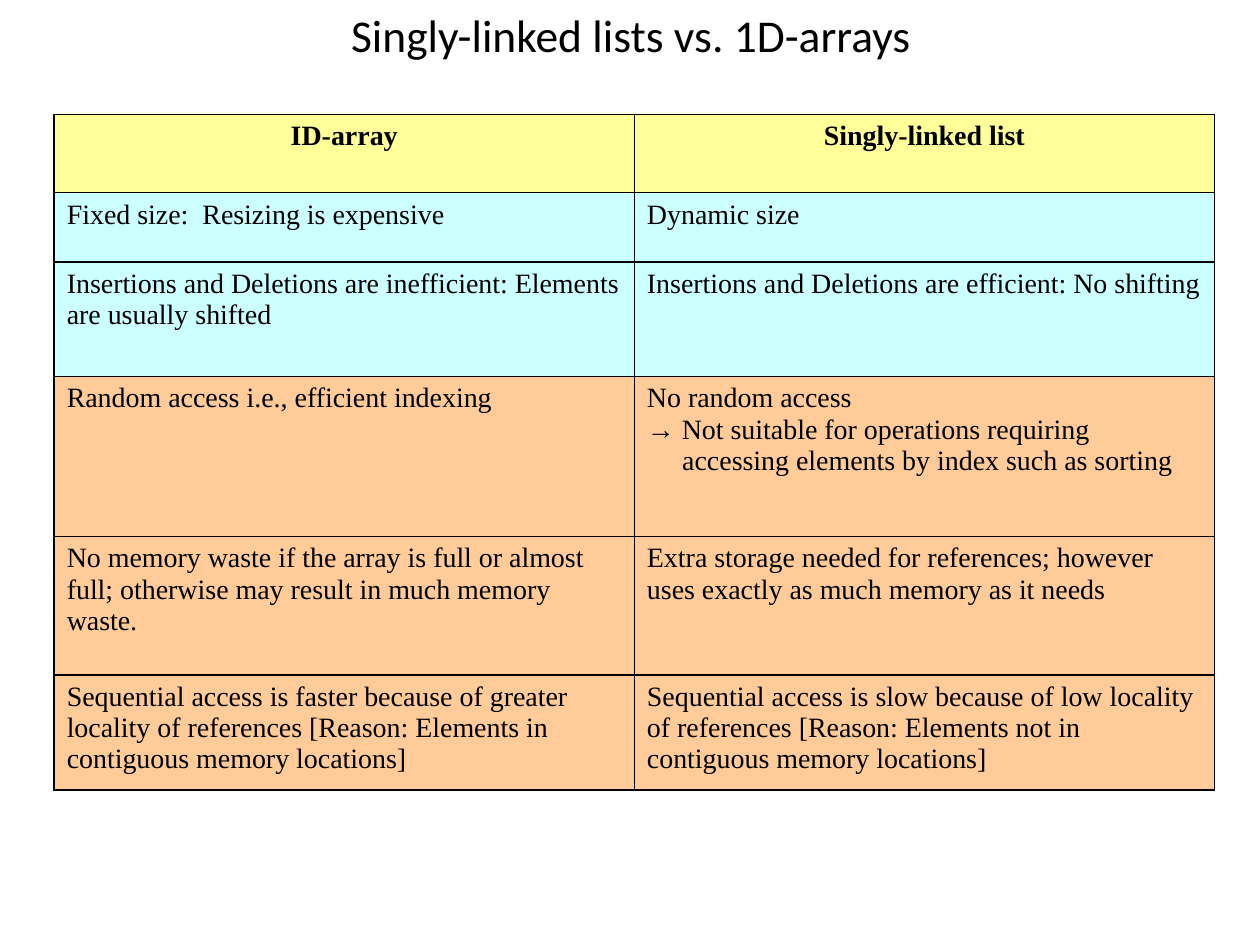
import dataclasses
import typing

import pptx
import pptx.dml.color
import pptx.enum.text
import pptx.oxml.ns
import pptx.util
from lxml import etree

Inches = pptx.util.Inches
Align = pptx.enum.text.PP_ALIGN
Anchor = pptx.enum.text.MSO_ANCHOR
qn = pptx.oxml.ns.qn

HUES = {
    "ink": "000000",
    "head": "FFFF99",
    "good": "CCFFFF",
    "trade": "FFCC99",
}
TITLE = {"name": "Calibri", "size": pptx.util.Pt(26)}
BODY = {"name": "Times New Roman", "size": pptx.util.Pt(16), "bold": False}
HEAD = {**BODY, "bold": True}
PADS = {
    "margin_left": Inches(0.1),
    "margin_right": Inches(0.1),
    "margin_top": Inches(0.05),
    "margin_bottom": Inches(0.05),
}
EDGES = ("a:lnL", "a:lnR", "a:lnT", "a:lnB")
INDENT = Inches(0.28)


@dataclasses.dataclass
class Line:
    text: str
    indent: int = 0


@dataclasses.dataclass
class Row:
    height: float
    hue: str
    left: list[Line]
    right: list[Line]
    font: dict[str, typing.Any] = dataclasses.field(default_factory=lambda: BODY)
    align: typing.Any = Align.LEFT


ROWS = [
    Row(0.62, "head", [Line("ID-array")], [Line("Singly-linked list")], HEAD, Align.CENTER),
    Row(0.55, "good", [Line("Fixed size:  Resizing is expensive")], [Line("Dynamic size")]),
    Row(
        0.91,
        "good",
        [Line("Insertions and Deletions are inefficient: Elements are usually shifted")],
        [Line("Insertions and Deletions are efficient: No shifting")],
    ),
    Row(
        1.27,
        "trade",
        [Line("Random access i.e., efficient indexing")],
        [
            Line("No random access"),
            Line("→ Not suitable for operations requiring"),
            Line("accessing elements by index such as sorting", INDENT),
        ],
    ),
    Row(
        1.1,
        "trade",
        [Line("No memory waste if the array is full or almost full; "
              "otherwise may result in much memory waste.")],
        [Line("Extra storage needed for references; "
              "however uses exactly as much memory as it needs")],
    ),
    Row(
        0.91,
        "trade",
        [Line("Sequential access is faster because of greater locality of references "
              "[Reason: Elements in contiguous memory locations]")],
        [Line("Sequential access is slow because of low locality of references "
              "[Reason: Elements not in contiguous memory locations]")],
    ),
]


def style(item: typing.Any, values: dict[str, typing.Any]) -> None:
    for key, value in values.items():
        setattr(item, key, value)


def color(hue: str) -> pptx.dml.color.RGBColor:
    return pptx.dml.color.RGBColor.from_string(HUES[hue])


def write(frame: typing.Any, lines: list[Line], font: dict[str, typing.Any], align: typing.Any) -> None:
    for i, line in enumerate(lines):
        para = frame.add_paragraph() if i else frame.paragraphs[0]
        para.alignment = align
        if line.indent:
            para._p.get_or_add_pPr().set("marL", str(line.indent))
        run = para.add_run()
        run.text = line.text
        style(run.font, font)
        run.font.color.rgb = color("ink")


def border(cell: typing.Any) -> None:
    props = cell._tc.get_or_add_tcPr()
    for i, edge in enumerate(EDGES):
        line = etree.Element(qn(edge), w=str(pptx.util.Pt(1)))
        fill = etree.SubElement(line, qn("a:solidFill"))
        etree.SubElement(fill, qn("a:srgbClr"), val=HUES["ink"])
        props.insert(i, line)


def title(slide: typing.Any, text: str) -> None:
    box = slide.shapes.add_textbox(Inches(0.51), Inches(0), Inches(9), Inches(0.55))
    style(box.text_frame, {"word_wrap": True, "vertical_anchor": Anchor.MIDDLE})
    write(box.text_frame, [Line(text)], TITLE, Align.CENTER)


def grid(slide: typing.Any, rows: list[Row]) -> None:
    high = Inches(sum(row.height for row in rows))
    table = slide.shapes.add_table(
        len(rows), 2, Inches(0.43), Inches(0.91), Inches(9.21), high
    ).table
    style(table, {"horz_banding": False})
    for r, row in enumerate(rows):
        table.rows[r].height = Inches(row.height)
        for c, lines in enumerate((row.left, row.right)):
            cell = table.cell(r, c)
            style(cell, PADS)
            cell.fill.solid()
            cell.fill.fore_color.rgb = color(row.hue)
            border(cell)
            write(cell.text_frame, lines, row.font, row.align)


def main() -> None:
    deck = pptx.Presentation()
    style(deck, {"slide_width": Inches(10), "slide_height": Inches(7.5)})
    slide = deck.slides.add_slide(deck.slide_layouts[6])
    title(slide, "Singly-linked lists vs. 1D-arrays")
    grid(slide, ROWS)
    deck.save("out.pptx")


if __name__ == "__main__":
    main()
